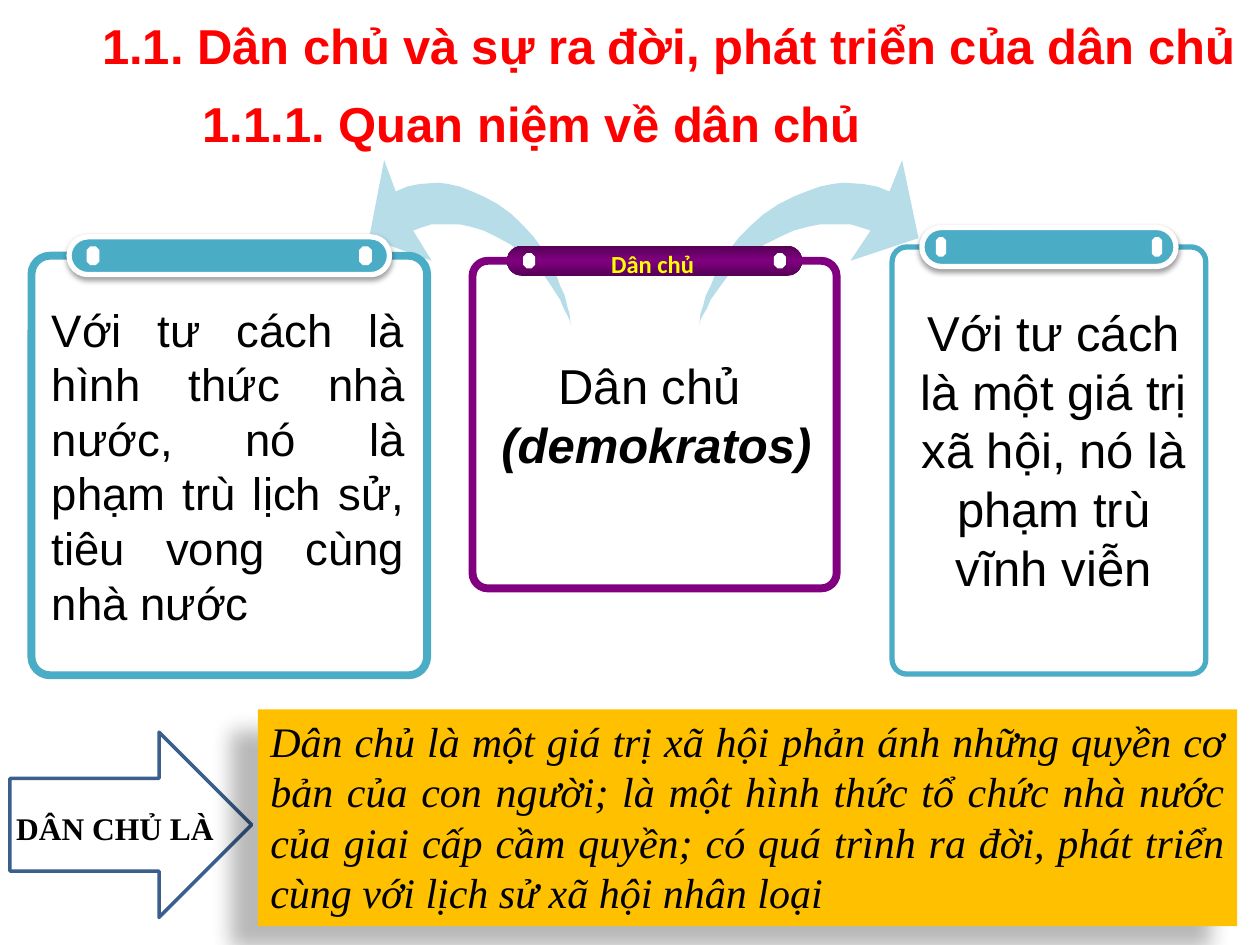
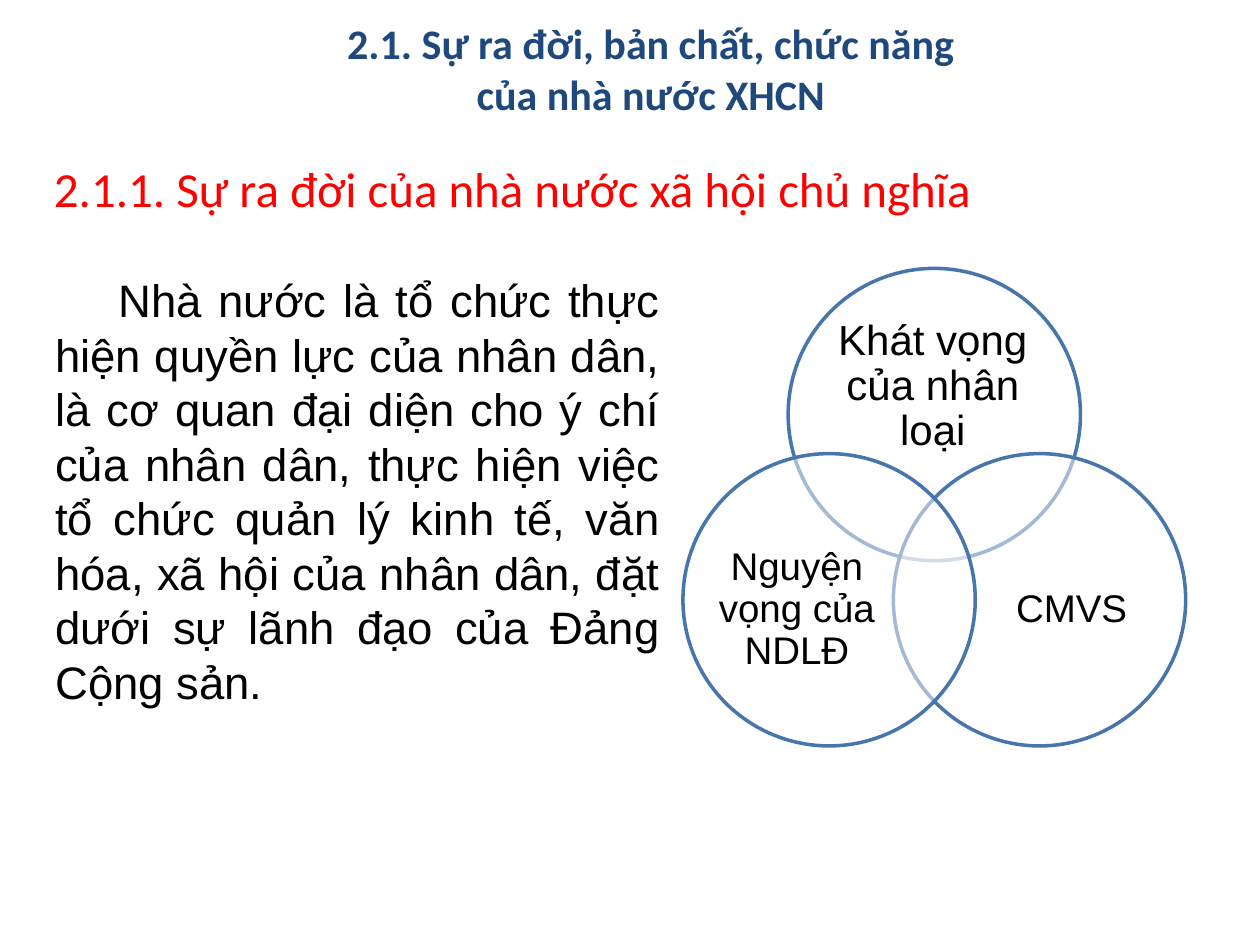
from collections import namedtuple

from lxml.etree import SubElement
from pptx import Presentation
from pptx.dml.color import RGBColor
from pptx.enum.shapes import MSO_SHAPE as SHAPE
from pptx.enum.text import MSO_ANCHOR as ANCHOR, MSO_AUTO_SIZE as AUTO_SIZE, PP_ALIGN as ALIGN
from pptx.oxml.ns import qn
from pptx.util import Emu, Inches, Pt

COLORS = {
    "heading": "FF0000", "navy": "1F497D", "text": "000000", "white": "FFFFFF",
    "teal": "4BACC6", "pale_teal": "B7DEE8", "purple": "800080", "dark_purple": "550055",
    "yellow": "FFFF00", "amber": "FFC000", "arrow_line": "3A5F8C", "ring": "4875AC",
}
COLS = 100  # square grid: 100 columns by 75 rows
UNIT = Inches(10) / COLS

# Shadow values: opacity %, blur pt, distance pt, direction in degrees
CLIP_SHADOW = (38, 3.1, 1.6, 90)
PANEL_SHADOW = (28, 11.8, 19.7, 141)

HEADING = {"size": Pt(28), "name": "Arial", "bold": True}
HEADING_PARA = {"alignment": ALIGN.JUSTIFY, "line_spacing": Pt(23), "space_before": Pt(3)}

# Half of the double arrow, on a 174 by 131 field
SWOOSH_SIZE = (174, 131)
SWOOSH = [
    (0, 131), (1, 127), (3, 123), (6, 118), (9, 111), (14, 104), (19, 97), (25, 89),
    (33, 81), (42, 74), (52, 67), (64, 61), (75, 56), (86, 53), (96, 51), (105, 51),
    (120, 51), (130, 54), (136, 56), (120, 80), (174, 62), (161, 0), (151, 25),
    (141, 21), (130, 19), (114, 18), (106, 19), (96, 21), (85, 25), (75, 29), (63, 35),
    (51, 43), (41, 52), (32, 61), (24, 71), (18, 81), (13, 90), (9, 100), (5, 108),
    (3, 116), (1, 122),
]


class Box(namedtuple("Box", "x y w h")):
    """A rectangle in grid units."""

    def inner(self, x, y, w, h):
        """The inner box given by shares of this one."""
        return Box(self.x + x * self.w, self.y + y * self.h, w * self.w, h * self.h)

    def emu(self):
        return [Emu(round(v * UNIT)) for v in self]


def rgb(name):
    return RGBColor.from_string(COLORS[name])


def set_values(obj, values):
    for name, value in values.items():
        setattr(obj, name, value)


def write(sp, paragraphs, font, para, color="text", indent=0, **frame):
    """Fill sp with (text, extra font values) pairs."""
    tf = sp.text_frame
    set_values(tf, {"word_wrap": True, "auto_size": AUTO_SIZE.NONE,
                    "vertical_anchor": ANCHOR.TOP, **frame})
    for i, (text, extra) in enumerate(paragraphs):
        p = tf.add_paragraph() if i else tf.paragraphs[0]
        set_values(p, para)
        if indent:
            p_pr = p._p.get_or_add_pPr()
            p_pr.set("marL", "0")
            p_pr.set("indent", str(Inches(indent)))
        r = p.add_run()
        r.text = text
        set_values(r.font, {**font, **extra})
        r.font.color.rgb = rgb(color)


def add_text(slide, box, paragraphs, font, para, **options):
    sp = slide.shapes.add_textbox(*box.emu())
    write(sp, paragraphs, font, para, **options)


def set_title(slide, box, text, font, para, **options):
    sp = slide.shapes.title
    set_values(sp, dict(zip(("left", "top", "width", "height"), box.emu())))
    write(sp, [(text, {})], font, para, **options)


def paint(sp, fill=None, line=None, width=1, shadow=None):
    sp.shadow.inherit = False
    if fill:
        sp.fill.solid()
        sp.fill.fore_color.rgb = rgb(fill)
    else:
        sp.fill.background()
    if line:
        sp.line.color.rgb = rgb(line)
        sp.line.width = Pt(width)
    else:
        sp.line.fill.background()
    if shadow:
        alpha, blur, dist, angle = shadow
        effects = sp._element.spPr.find(qn("a:effectLst"))
        outer = SubElement(effects, qn("a:outerShdw"), blurRad=str(Pt(blur)),
                           dist=str(Pt(dist)), dir=str(angle * 60000), rotWithShape="0")
        clr = SubElement(outer, qn("a:srgbClr"), val=COLORS["text"])
        SubElement(clr, qn("a:alpha"), val=str(alpha * 1000))


def add_shape(slide, kind, box, adj=None, **look):
    sp = slide.shapes.add_shape(kind, *box.emu())
    if adj is not None:
        sp.adjustments[0] = adj
    paint(sp, **look)
    return sp


def fill_bar_gradient(sp):
    """Dark edges with a lighter middle, from top to bottom."""
    sp.fill.gradient()
    sp.fill.gradient_angle = 90
    stops = sp._element.spPr.find(".//" + qn("a:gsLst"))
    stops.clear()
    for pos, name in ((0, "dark_purple"), (50, "purple"), (100, "dark_purple")):
        gs = SubElement(stops, qn("a:gs"), pos=str(pos * 1000))
        SubElement(gs, qn("a:srgbClr"), val=COLORS[name])


def make_translucent(sp, percent):
    clr = sp._element.spPr.find(qn("a:solidFill")).find(qn("a:srgbClr"))
    SubElement(clr, qn("a:alpha"), val=str(percent * 1000))


def add_swoosh(slide, box, mirrored=False):
    width, height = SWOOSH_SIZE
    points = [(width - x if mirrored else x, y) for x, y in SWOOSH]
    left, top, w, h = box.emu()
    builder = slide.shapes.build_freeform(*points[0], scale=(w / width, h / height))
    builder.add_line_segments(points[1:], close=True)
    paint(builder.convert_to_shape(left, top), fill="pale_teal")


def add_card(slide, box, clip_height, color, frame, **clip_look):
    """A framed card with a studded clip centred on its top edge; returns the clip."""
    add_shape(slide, SHAPE.ROUNDED_RECTANGLE, box, 0.047, line=color, **frame)
    share = clip_height / box.h
    clip_box = box.inner(0.095, -share / 2, 0.81, share)
    clip = add_shape(slide, SHAPE.ROUNDED_RECTANGLE, clip_box, 0.5, fill=color, **clip_look)
    stud, inset = 0.04, 0.055
    for x in (inset, 1 - inset - stud):
        add_shape(slide, SHAPE.OCTAGON, clip_box.inner(x, 0.25, stud, 0.5), 0.293, fill="white")
    return clip


def add_cards(slide):
    arial = {"size": Pt(28), "name": "Arial"}
    centred = {"alignment": ALIGN.CENTER}
    teal_clip = {"line": "white", "width": 3, "shadow": CLIP_SHADOW}

    middle = Box(37.5, 20.7, 28.9, 26)
    fill_bar_gradient(add_card(slide, middle, 2.4, "purple", {"width": 4.5}))
    add_text(slide, Box(47.2, 19.3, 9.2, 2.5), [("Dân chủ", {})],
             {"size": Pt(14), "name": "Calibri", "bold": True}, centred,
             color="yellow", word_wrap=False)
    add_text(slide, middle.inner(0.01, 0.27, 0.99, 0.29),
             [("Dân chủ ", {}), ("(demokratos)", {"bold": True, "italic": True})],
             arial, centred)

    right = Box(70.8, 19.6, 24.9, 33.9)
    add_card(slide, right, 3.1, "teal", {"width": 3, "fill": "white"}, **teal_clip)
    add_text(slide, right.inner(0.03, 0.115, 0.97, 0.63),
             [("Với tư cách là một giá trị xã hội, nó là phạm trù vĩnh viễn", {})],
             arial, centred)

    left = Box(2.5, 20.3, 31.4, 33.3)
    add_card(slide, left, 3, "teal", {"width": 4.5}, **teal_clip)
    add_text(slide, left.inner(0.02, 0.095, 0.955, 0.73),
             [("Với tư cách là hình thức nhà nước, nó là phạm trù lịch sử, "
               "tiêu vong cùng nhà nước", {})],
             {**arial, "size": Pt(26)}, {"alignment": ALIGN.JUSTIFY})


def add_definition(slide, box):
    """Arrow with its label, pointing at the definition panel."""
    serif = {"name": "Times New Roman"}
    add_shape(slide, SHAPE.RIGHT_ARROW, box.inner(0.005, 0.105, 0.196, 0.855),
              fill="white", line="arrow_line", width=2)
    add_text(slide, box.inner(0, 0.43, 0.196, 0.23), [("DÂN CHỦ LÀ", {})],
             {**serif, "size": Pt(18), "bold": True}, {"alignment": ALIGN.LEFT})
    panel = add_shape(slide, SHAPE.RECTANGLE, box.inner(0.206, 0, 0.794, 1),
                      fill="amber", shadow=PANEL_SHADOW)
    write(panel, [("Dân chủ là một giá trị xã hội phản ánh những quyền cơ bản của con người; "
                   "là một hình thức tổ chức nhà nước của giai cấp cầm quyền; có quá trình "
                   "ra đời, phát triển cùng với lịch sử xã hội nhân loại", {})],
          {**serif, "size": Pt(24), "italic": True}, {"alignment": ALIGN.JUSTIFY})


def add_venn(slide, box):
    diameter = 23.2
    w, h = diameter / box.w, diameter / box.h
    circles = [
        ("Khát vọng của nhân loại", 24, (1 - w) / 2, 0, (0.13, 0.18, 0.73, 0.45)),
        ("CMVS", 22, 1 - w, 1 - h, (0.31, 0.26, 0.6, 0.55)),
        ("Nguyện vọng của NDLĐ", 22, 0, 1 - h, (0.09, 0.26, 0.6, 0.55)),
    ]
    margins = dict.fromkeys(
        ("margin_left", "margin_top", "margin_right", "margin_bottom"), 0)
    for text, size, x, y, label in circles:
        circle = box.inner(x, y, w, h)
        sp = add_shape(slide, SHAPE.OVAL, circle, fill="white", line="ring", width=2)
        make_translucent(sp, 50)
        add_text(slide, circle.inner(*label), [(text, {})],
                 {"size": Pt(size), "name": "Arial"},
                 {"alignment": ALIGN.CENTER, "line_spacing": 0.9},
                 vertical_anchor=ANCHOR.MIDDLE, **margins)


def build_democracy_slide(slide):
    add_swoosh(slide, Box(55.5, 12.7, 17.4, 13.1))
    add_swoosh(slide, Box(29.3, 12.7, 16, 13.1), mirrored=True)
    set_title(slide, Box(2.1, 2.2, 99.4, 4.2),
              "1.1. Dân chủ và sự ra đời, phát triển của dân chủ",
              HEADING, HEADING_PARA, color="heading", indent=0.5)
    add_text(slide, Box(10.1, 8.4, 62.8, 4.2), [("1.1.1. Quan niệm về dân chủ", {})],
             HEADING, HEADING_PARA, color="heading", indent=0.5)
    add_cards(slide)
    add_definition(slide, Box(0.3, 56.3, 97.9, 17.2))


def build_state_slide(slide):
    set_title(slide, Box(25, 0.9, 53.3, 9.1),
              "2.1. Sự ra đời, bản chất, chức năng của nhà nước XHCN",
              {"size": Pt(24), "name": "Calibri", "bold": True},
              {"alignment": ALIGN.CENTER}, color="navy")
    add_text(slide, Box(3.3, 12.1, 85, 5.7),
             [("2.1.1. Sự ra đời của nhà nước xã hội chủ nghĩa", {})],
             {"size": Pt(28), "name": "Calibri"}, {"alignment": ALIGN.JUSTIFY},
             color="heading")
    add_venn(slide, Box(54.2, 21.3, 39.9, 37.9))
    add_text(slide, Box(3.4, 21.1, 50, 36),
             [("Nhà nước là tổ chức thực hiện quyền lực của nhân dân, là cơ quan đại diện "
               "cho ý chí của nhân dân, thực hiện việc tổ chức quản lý kinh tế, văn hóa, "
               "xã hội của nhân dân, đặt dưới sự lãnh đạo của Đảng Cộng sản.", {})],
             {"size": Pt(26), "name": "Arial"},
             {"alignment": ALIGN.JUSTIFY, "space_before": Pt(3)}, indent=0.5)


def main():
    prs = Presentation()
    prs.slide_width, prs.slide_height = Inches(10), Inches(7.5)
    title_only = prs.slide_layouts[5]
    for build in (build_democracy_slide, build_state_slide):
        build(prs.slides.add_slide(title_only))
    prs.save("out.pptx")


if __name__ == "__main__":
    main()
